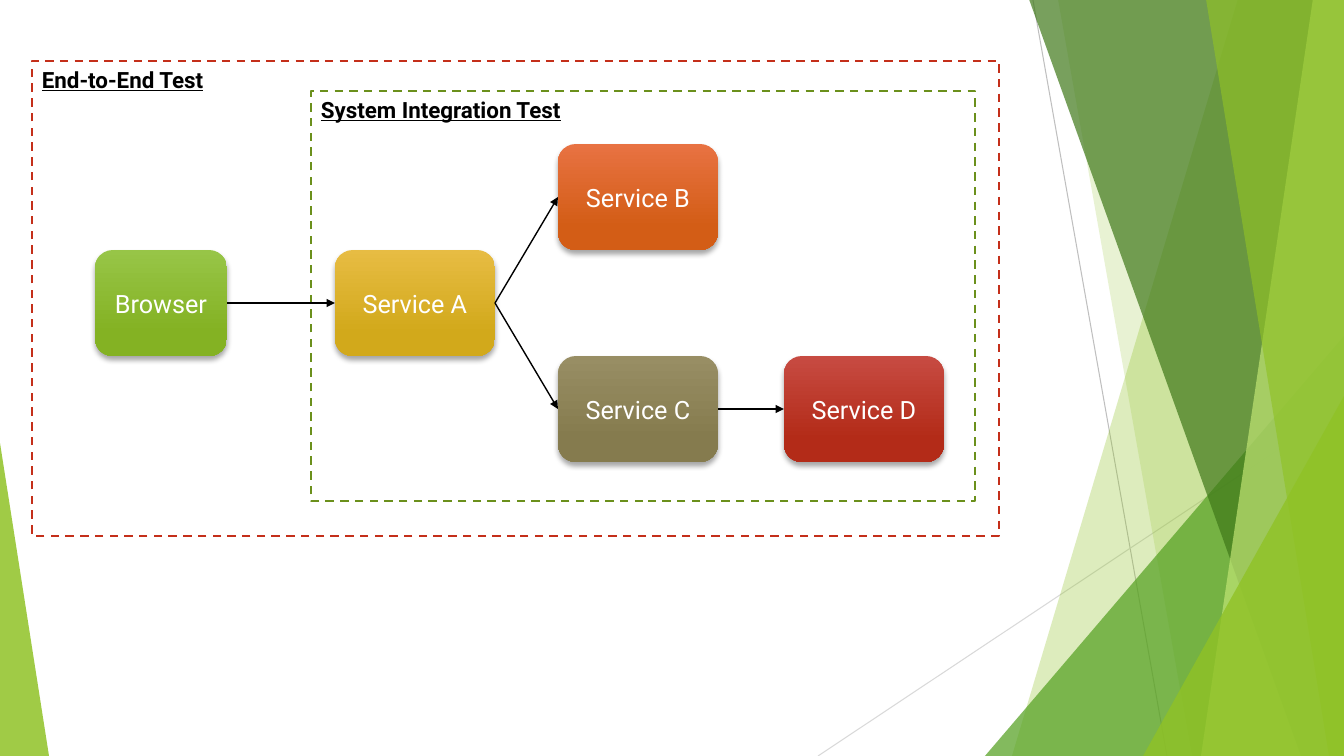
from dataclasses import dataclass

from pptx import Presentation
from pptx.dml.color import RGBColor as Rgb
from pptx.enum.dml import MSO_LINE as Dash
from pptx.enum.shapes import MSO_CONNECTOR as Link, MSO_SHAPE as Preset
from pptx.enum.text import MSO_ANCHOR as Anchor, PP_ALIGN as Align
from pptx.oxml.ns import qn
from pptx.oxml.xmlchemy import OxmlElement
from pptx.util import Emu, Pt

SCALE = 914400 / 100.8
WIDTH, HEIGHT = 1344, 756
LEFT_SITE, RIGHT_SITE = 1, 3
SERVICE_WIDTH, NODE_HEIGHT = 160, 106
ROW_TOP, ROW_STEP = 144, 106

COLORS = {
    "white": "FFFFFF", "black": "000000", "gray": "BFBFBF", "pale_gray": "D9D9D9",
    "lime": "90C226", "green": "54A021", "forest": "3F7819", "pale_lime": "C0E474",
    "red": "C42F1A", "olive": "6B901C",
    "browser_top": "97C547", "browser_base": "84B223",
    "gold_top": "E7BC43", "gold_base": "D2A91B",
    "orange_top": "E87242", "orange_base": "D35D16",
    "khaki_top": "988E64", "khaki_base": "857B4E",
    "crimson_top": "C74B42", "crimson_base": "B32B18",
}
TITLE_FORMAT = {"name": "Roboto", "size": Pt(16), "bold": True, "underline": True}
NODE_FORMAT = {"name": "Roboto", "size": Pt(18)}
SHADOW_FORMAT = {"blurRad": Pt(4), "dist": Pt(3), "dir": 90 * 60000,
                 "algn": "ctr", "rotWithShape": 0}


@dataclass
class Facet:
    top_x: int
    bottom_x: int
    color: str
    opacity: int


@dataclass
class Corner:
    left: int
    top: int
    width: int
    apex: float
    color: str
    opacity: int


@dataclass
class Frame:
    title: str
    left: int
    top: int
    width: int
    height: int
    color: str


@dataclass
class Node:
    label: str
    left: int
    row: int
    color: str
    width: int = SERVICE_WIDTH


RAYS = [((1033, 0), (1167, HEIGHT), "gray"),
        ((WIDTH, 406), (818, HEIGHT), "pale_gray")]
BACKDROP = [
    Facet(1238, 1012, "lime", 30),
    Facet(1058, 1192, "lime", 20),
    Corner(985, 336, 359, 1, "green", 72),
    Facet(1029, 1301, "forest", 70),
    Facet(1313, 1201, "pale_lime", 70),
    Facet(1206, 1329, "lime", 65),
    Corner(1143, 396, 201, 1, "lime", 80),
    Corner(0, 443, 49, 0, "lime", 85),
]
FRAMES = [Frame("End-to-End Test", 32, 61, 967, 475, "red"),
          Frame("System Integration Test", 311, 91, 664, 410, "olive")]
NODES = [
    Node("Service A", 335, 1, "gold"),
    Node("Browser", 95, 1, "browser", 132),
    Node("Service B", 558, 0, "orange"),
    Node("Service C", 558, 2, "khaki"),
    Node("Service D", 784, 2, "crimson"),
]
CALLS = [("Browser", "Service A"), ("Service A", "Service B"),
         ("Service A", "Service C"), ("Service C", "Service D")]


def px(value: float) -> Emu:
    return Emu(round(value * SCALE))


def rgb(name: str) -> Rgb:
    return Rgb.from_string(COLORS[name])


def add_box(page, preset, left: int, top: int, width: int, height: int):
    box = page.shapes.add_shape(preset, px(left), px(top), px(width), px(height))
    box.shadow.inherit = False
    return box


def fill_clear(box, color: str, opacity: int) -> None:
    box.fill.solid()
    box.fill.fore_color.rgb = rgb(color)
    box.line.fill.background()
    alpha = OxmlElement("a:alpha")
    alpha.set("val", str(opacity * 1000))
    box.element.xpath("./p:spPr/a:solidFill/a:srgbClr")[0].append(alpha)


def write(box, text: str, color: str, formats: dict, align, anchor) -> None:
    box.text_frame.word_wrap = True
    box.text_frame.vertical_anchor = anchor
    para = box.text_frame.paragraphs[0]
    para.alignment = align
    span = para.add_run()
    span.text = text
    span.font.color.rgb = rgb(color)
    for key, value in formats.items():
        setattr(span.font, key, value)


def draw_line(page, start: tuple, end: tuple, color: str, weight: float):
    line = page.shapes.add_connector(Link.STRAIGHT, *map(px, start + end))
    line.line.color.rgb = rgb(color)
    line.line.width = Pt(weight)
    line.element.spPr.append(OxmlElement("a:effectLst"))
    return line


def draw_facet(page, facet: Facet) -> None:
    builder = page.shapes.build_freeform(facet.top_x, -1, scale=SCALE)
    builder.add_line_segments([(WIDTH, -1), (WIDTH, HEIGHT), (facet.bottom_x, HEIGHT)])
    box = builder.convert_to_shape()
    box.shadow.inherit = False
    fill_clear(box, facet.color, facet.opacity)


def draw_corner(page, corner: Corner) -> None:
    box = add_box(page, Preset.ISOSCELES_TRIANGLE, corner.left, corner.top,
                  corner.width, HEIGHT - corner.top)
    box.adjustments[0] = corner.apex
    fill_clear(box, corner.color, corner.opacity)


def draw_frame(page, frame: Frame) -> None:
    box = add_box(page, Preset.RECTANGLE, frame.left, frame.top, frame.width, frame.height)
    box.fill.solid()
    box.fill.fore_color.rgb = rgb("white")
    box.line.color.rgb = rgb(frame.color)
    box.line.width = Pt(1.5)
    box.line.dash_style = Dash.DASH
    write(box, frame.title, "black", TITLE_FORMAT, Align.LEFT, Anchor.TOP)


def draw_node(page, node: Node):
    box = add_box(page, Preset.ROUNDED_RECTANGLE, node.left,
                  ROW_TOP + node.row * ROW_STEP, node.width, NODE_HEIGHT)
    box.fill.gradient()
    box.fill.gradient_angle = 270
    for stop, place, part in zip(box.fill.gradient_stops, (0, 0.78), ("top", "base")):
        stop.position = place
        stop.color.rgb = rgb(f"{node.color}_{part}")
    box.line.fill.background()
    shadow = OxmlElement("a:outerShdw")
    for key, value in SHADOW_FORMAT.items():
        shadow.set(key, str(value))
    tone, alpha = OxmlElement("a:srgbClr"), OxmlElement("a:alpha")
    tone.set("val", COLORS["black"])
    alpha.set("val", "35000")
    tone.append(alpha)
    shadow.append(tone)
    box.element.spPr.find(qn("a:effectLst")).append(shadow)
    write(box, node.label, "white", NODE_FORMAT, Align.CENTER, Anchor.MIDDLE)
    return box


def draw_call(page, caller, callee) -> None:
    arrow = draw_line(page, (0, 0), (0, 0), "black", 1)
    arrow.begin_connect(caller, RIGHT_SITE)
    arrow.end_connect(callee, LEFT_SITE)
    head = OxmlElement("a:tailEnd")
    head.set("type", "triangle")
    arrow.line.fill.solid()
    arrow.line.color.rgb = rgb("black")
    arrow.element.spPr.find(qn("a:ln")).append(head)


deck = Presentation()
deck.slide_width, deck.slide_height = px(WIDTH), px(HEIGHT)
page = deck.slides.add_slide(deck.slide_layouts[6])
for start, end, color in RAYS:
    draw_line(page, start, end, color, 0.75)
for piece in BACKDROP:
    draw = draw_facet if isinstance(piece, Facet) else draw_corner
    draw(page, piece)
for frame in FRAMES:
    draw_frame(page, frame)
boxes = {node.label: draw_node(page, node) for node in NODES}
for caller, callee in CALLS:
    draw_call(page, boxes[caller], boxes[callee])
deck.save("out.pptx")
